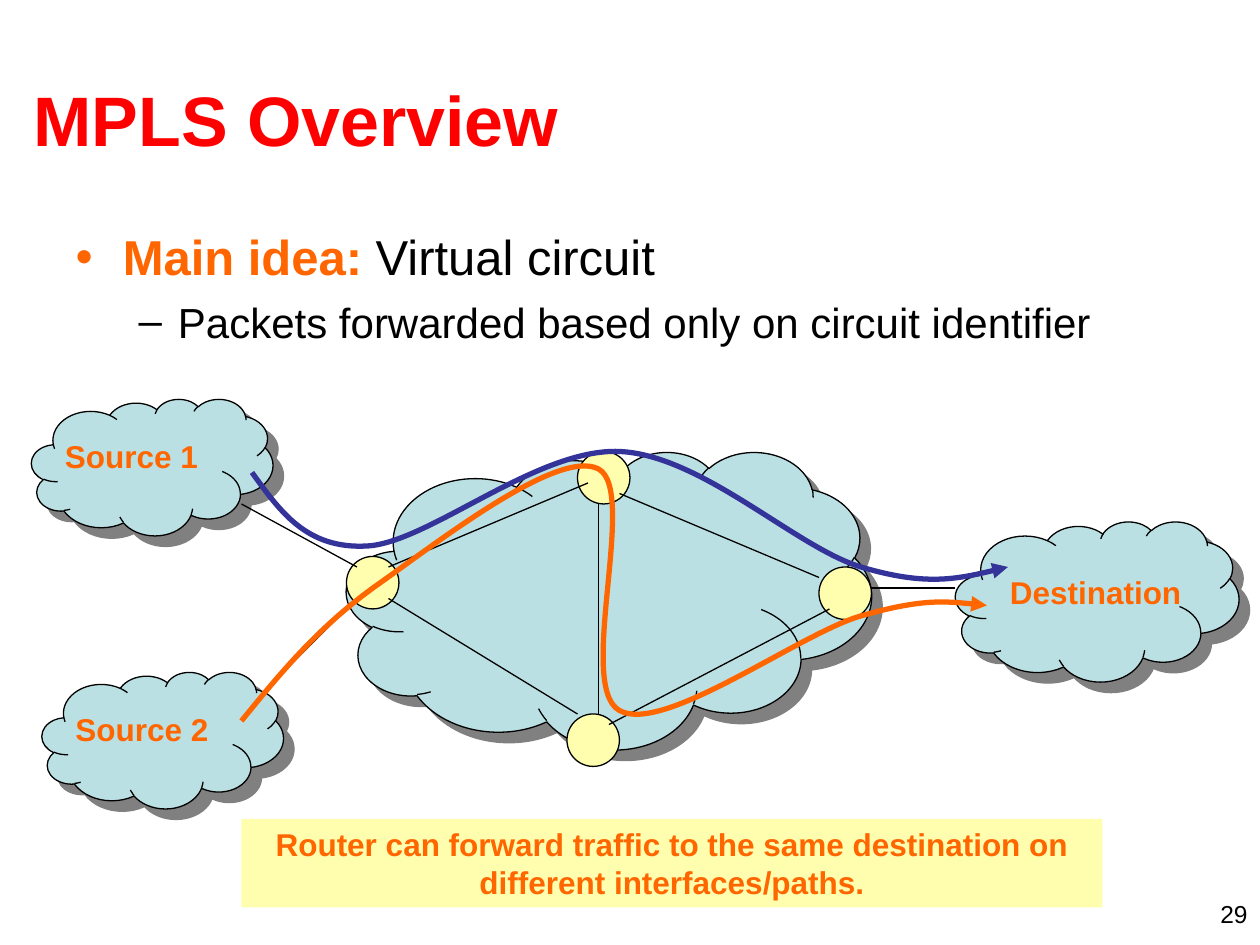
import pptx
import pptx.dml.color
import pptx.enum.shapes
import pptx.enum.text
import pptx.oxml
import pptx.oxml.ns
import pptx.util
from lxml import etree

Pt = pptx.util.Pt
SHAPES = pptx.enum.shapes.MSO_SHAPE
ALIGN = pptx.enum.text.PP_ALIGN
qn = pptx.oxml.ns.qn

COLORS = {
    "title": "FF0000", "accent": "FF6600", "text": "000000", "cloud": "BBE0E3",
    "router": "FEFEAE", "shadow": "808080", "path": "333399",
}
FONT = "Arial"
ROUTER_SIZE = 30
ROUTERS = [(198, 318), (330, 258), (324, 408), (468, 324)]
SOURCES = [("Source 1", 18, 228), ("Source 2", 24, 384)]
LINKS = [
    (498, 336, 546, 336), (222, 324, 336, 276), (222, 342, 330, 408),
    (348, 414, 474, 348), (354, 282, 468, 330), (138, 288, 204, 324),
    (150, 396, 204, 342), (342, 288, 342, 408),
]
# Start point, then two control points and an end point for each curve
SOURCE_1_PATH = [
    (144, 270), (160, 292), (175, 314), (210, 312), (245, 310), (307, 256),
    (354, 258), (401, 260), (455, 313), (492, 324), (529, 335), (552, 330),
    (576, 324),
]
SOURCE_2_PATH = [
    (138, 412), (160, 385), (182, 358), (216, 334), (250, 310), (319, 256),
    (342, 268), (365, 280), (329, 392), (354, 406), (379, 420), (457, 362),
    (492, 352), (527, 342), (546, 344), (564, 346),
]


def rgb(name):
    return pptx.dml.color.RGBColor.from_string(COLORS[name])


def place(shape, left, top, width, height):
    shape.left, shape.top = Pt(left), Pt(top)
    shape.width, shape.height = Pt(width), Pt(height)


def style_span(span, size, color, bold=False):
    span.font.name = FONT
    span.font.size = Pt(size)
    span.font.bold = bold
    span.font.color.rgb = rgb(color)


def set_line(shape, color, width):
    shape.line.color.rgb = rgb(color)
    shape.line.width = Pt(width)


def write_text(box, text, size, color, bold=True, align=ALIGN.LEFT):
    frame = box.text_frame
    frame.word_wrap = True
    frame.text = text
    para = frame.paragraphs[0]
    para.alignment = align
    style_span(para.runs[0], size, color, bold)


def add_label(page, text, left, top, width, height, size=18, color="accent",
              bold=True, align=ALIGN.LEFT):
    box = page.shapes.add_textbox(Pt(left), Pt(top), Pt(width), Pt(height))
    write_text(box, text, size, color, bold, align)


def add_filled(page, kind, fill, left, top, width, height):
    shape = page.shapes.add_shape(kind, Pt(left), Pt(top), Pt(width), Pt(height))
    shape.shadow.inherit = False
    shape.fill.solid()
    shape.fill.fore_color.rgb = rgb(fill)
    return shape


def add_cloud(page, left, top, width, height):
    cloud = add_filled(page, SHAPES.CLOUD, "cloud", left, top, width, height)
    set_line(cloud, "text", 0.75)
    effects = cloud._element.spPr.find(qn("a:effectLst"))
    shadow = etree.SubElement(effects, qn("a:outerShdw"), blurRad="0",
                              dist=str(Pt(8.5)), dir=str(45 * 60000),
                              algn="ctr", rotWithShape="0")
    etree.SubElement(shadow, qn("a:srgbClr"), val=COLORS["shadow"])


def add_router(page, left, top):
    router = add_filled(page, SHAPES.OVAL, "router", left, top, ROUTER_SIZE, ROUTER_SIZE)
    set_line(router, "text", 0.75)


def add_link(page, *ends):
    link = page.shapes.add_connector(pptx.enum.shapes.MSO_CONNECTOR.STRAIGHT,
                                     *(Pt(value) for value in ends))
    set_line(link, "text", 0.75)
    etree.SubElement(link._element.spPr, qn("a:effectLst"))


def add_curved_arrow(page, points, color):
    """Draw an open outline and turn each three segments into one Bezier curve."""
    corners = [(Pt(x), Pt(y)) for x, y in points]
    builder = page.shapes.build_freeform(*corners[0])
    builder.add_line_segments(corners[1:], close=False)
    curve = builder.convert_to_shape()
    curve.shadow.inherit = False
    curve.fill.background()
    set_line(curve, color, 3)
    outline = curve._element.spPr.find(".//" + qn("a:path"))
    segments = outline.findall(qn("a:lnTo"))
    for start in range(0, len(segments), 3):
        bezier = etree.SubElement(outline, qn("a:cubicBezTo"))
        for segment in segments[start:start + 3]:
            bezier.append(segment[0])
            outline.remove(segment)
    etree.SubElement(curve.line._get_or_add_ln(), qn("a:tailEnd"), type="triangle")


def set_bullet(para, mark, color, margin, indent):
    props = para._p.get_or_add_pPr()
    props.set("marL", str(Pt(margin)))
    props.set("indent", str(Pt(indent)))
    tint = etree.SubElement(props, qn("a:buClr"))
    etree.SubElement(tint, qn("a:srgbClr"), val=COLORS[color])
    etree.SubElement(props, qn("a:buFont"), typeface=FONT)
    etree.SubElement(props, qn("a:buChar"), char=mark)


def fill_title(page):
    title = page.shapes.title
    place(title, 12, 23, 690, 90)
    write_text(title, "MPLS Overview", 40, "title")
    title.text_frame.vertical_anchor = pptx.enum.text.MSO_ANCHOR.MIDDLE


def fill_body(page):
    body = page.placeholders[1]
    place(body, 36, 126, 648, 78)
    frame = body.text_frame
    frame.auto_size = pptx.enum.text.MSO_AUTO_SIZE.NONE

    idea = frame.paragraphs[0]
    set_bullet(idea, "•", "accent", 27, -27)
    idea.space_before = Pt(0)
    for text, color, bold in (("Main idea:", "accent", True),
                              (" Virtual circuit", "text", False)):
        span = idea.add_run()
        span.text = text
        style_span(span, 28, color, bold)

    detail = frame.add_paragraph()
    detail.text = "Packets forwarded based only on circuit identifier"
    detail.level = 1
    set_bullet(detail, "–", "text", 58.5, -22.5)
    detail.space_before = Pt(6)
    style_span(detail.runs[0], 24, "text")


def main():
    deck = pptx.Presentation()
    deck.slide_width, deck.slide_height = Pt(720), Pt(540)
    page = deck.slides.add_slide(deck.slide_layouts[1])
    fill_title(page)
    fill_body(page)

    add_cloud(page, 198, 258, 300, 170)
    for left, top in ROUTERS:
        add_router(page, left, top)
    add_cloud(page, 546, 298, 162, 91.5)
    add_label(page, "Destination", 570, 324, 126, 29)
    for name, left, top in SOURCES:
        add_cloud(page, left, top, 138, 78)
        add_label(page, name, left + 12, top + 18, 126, 29)

    for link in LINKS:
        add_link(page, *link)
    add_curved_arrow(page, SOURCE_1_PATH, "path")
    add_curved_arrow(page, SOURCE_2_PATH, "accent")

    note = add_filled(page, SHAPES.RECTANGLE, "router", 138, 468, 492, 50.5)
    note.line.fill.background()
    write_text(note, "Router can forward traffic to the same destination on "
               "different interfaces/paths.", 18, "accent", align=ALIGN.CENTER)
    add_label(page, "29", 552, 510, 168, 18, 14, "text", False, ALIGN.RIGHT)
    deck.save("out.pptx")


if __name__ == "__main__":
    main()
